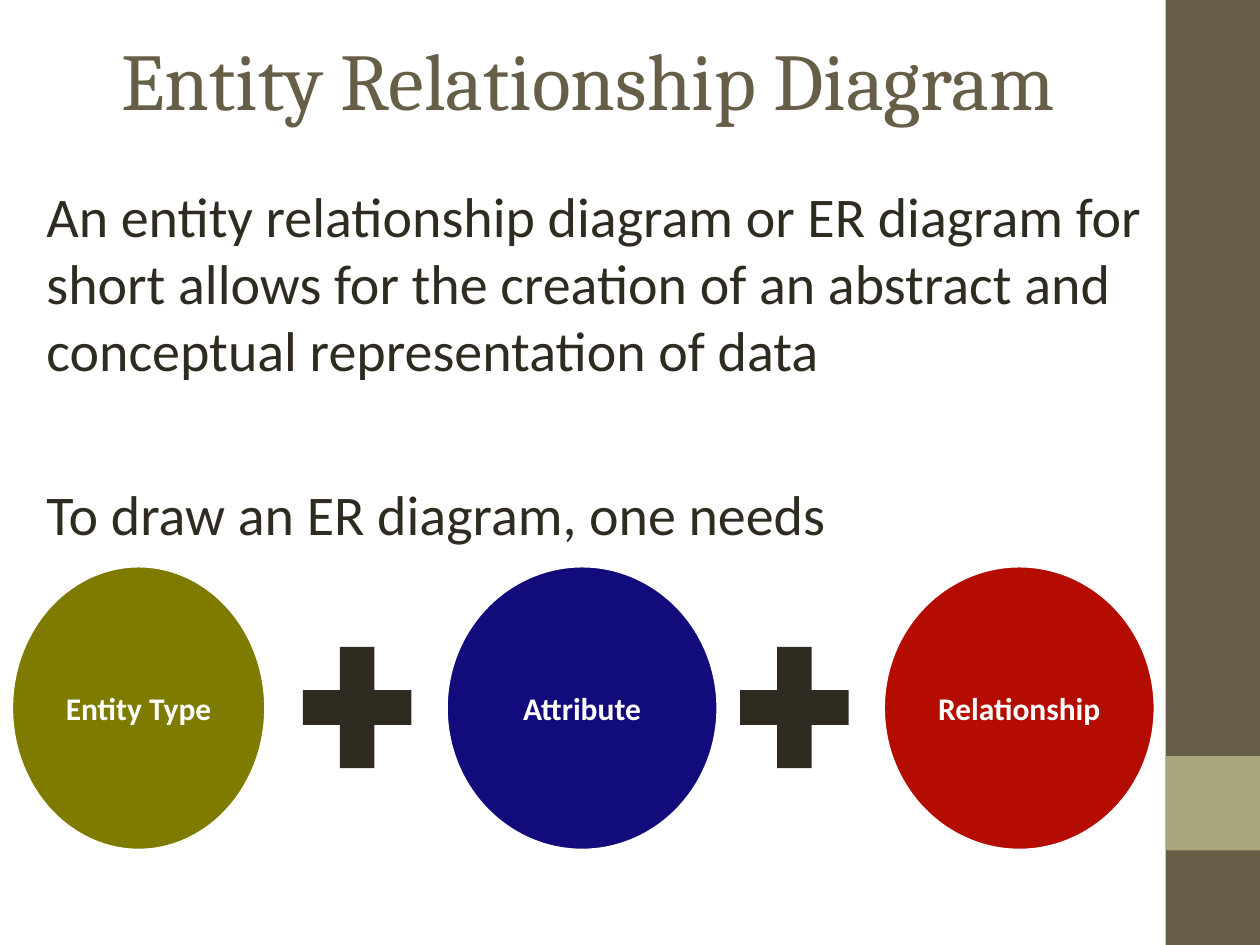
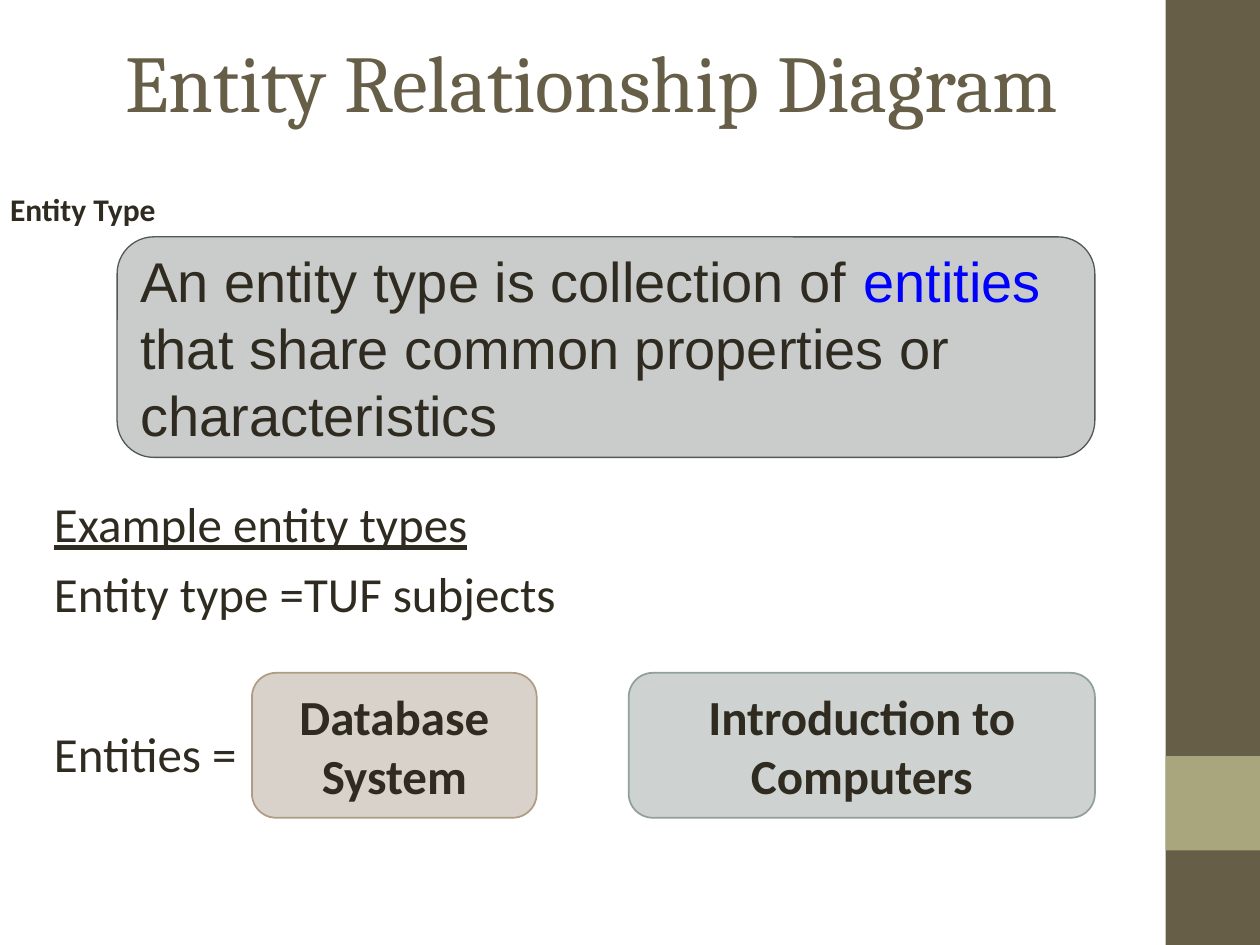
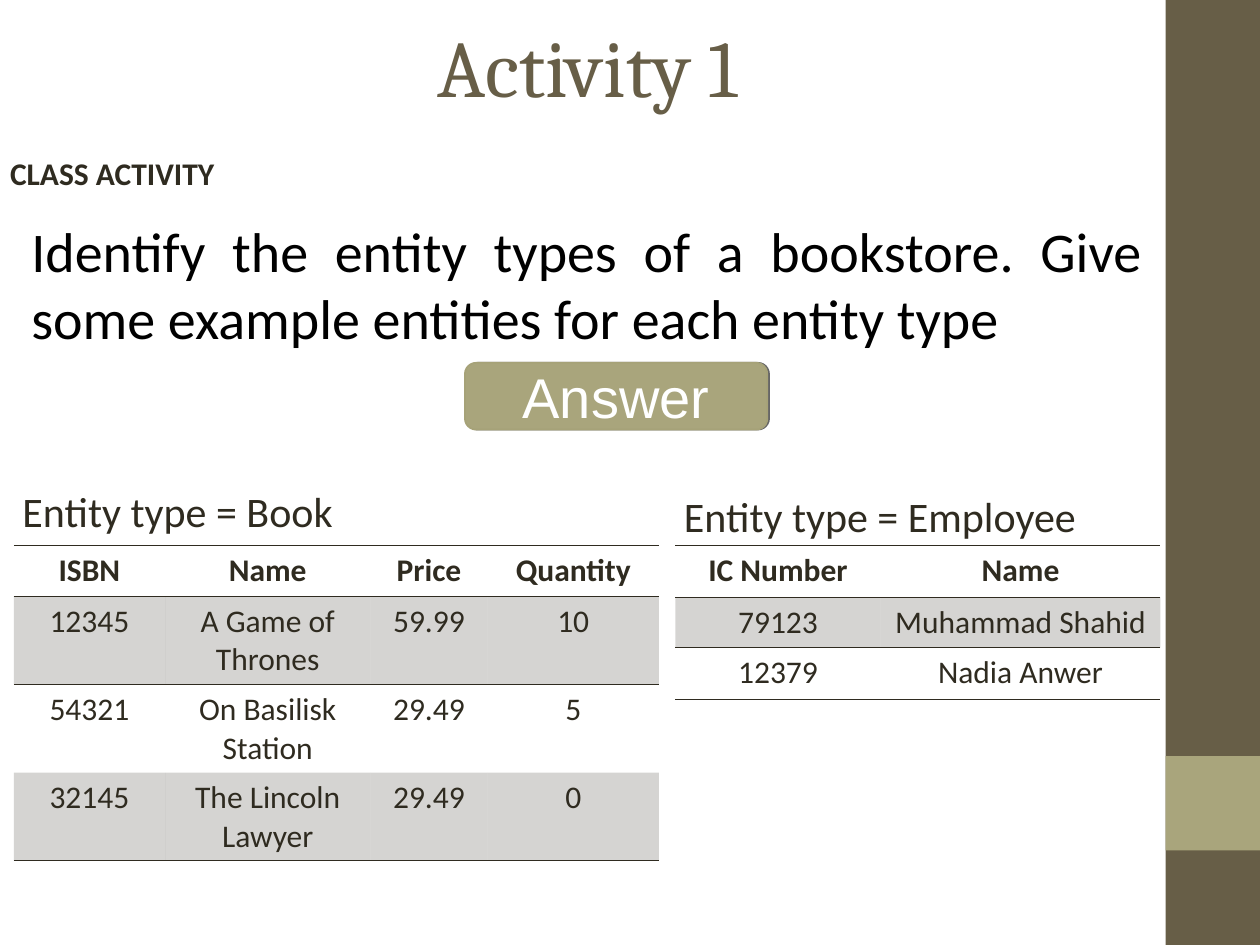
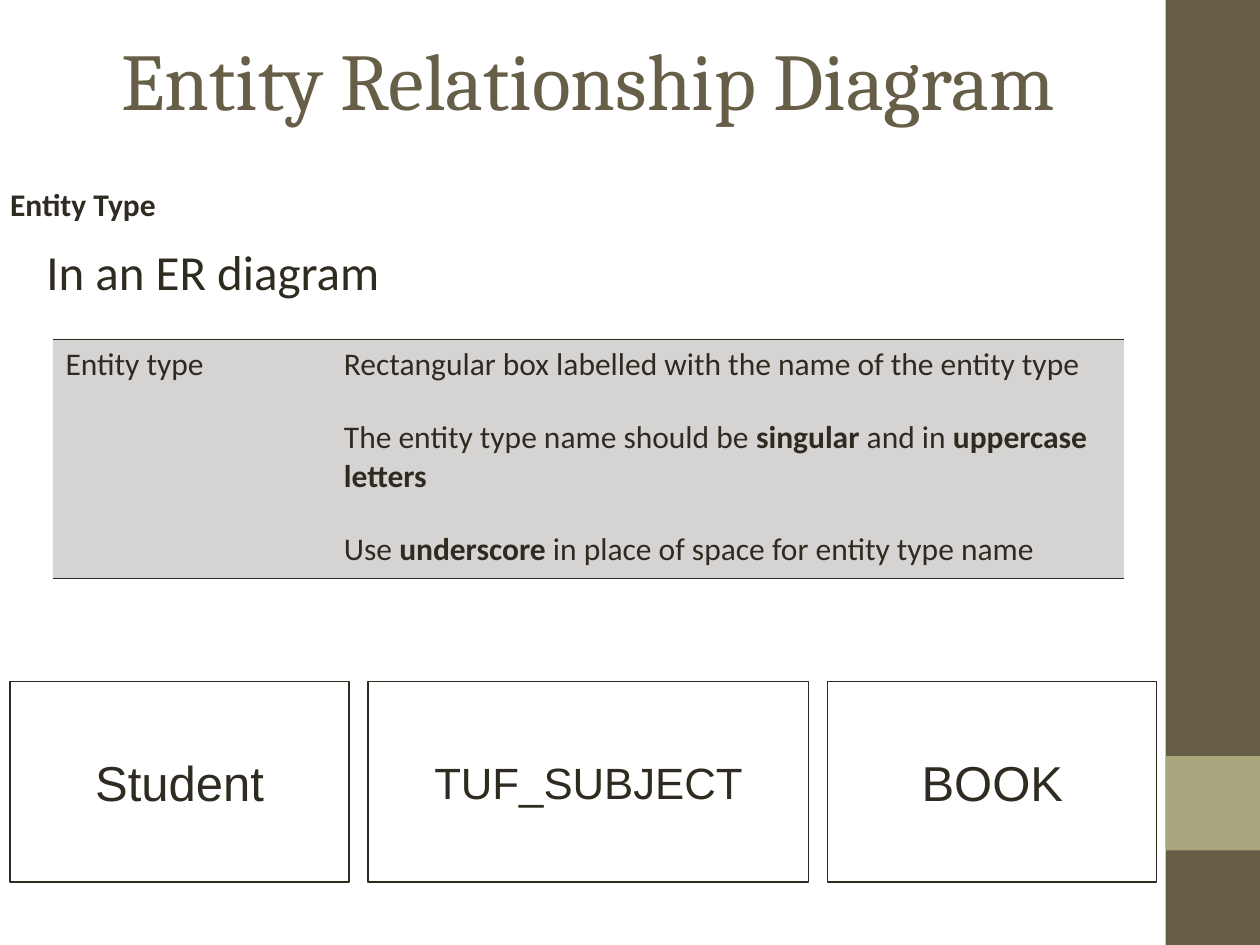
from dataclasses import dataclass

from lxml import etree
from pptx import Presentation
from pptx.dml.color import RGBColor
from pptx.enum.shapes import MSO_SHAPE
from pptx.enum.text import MSO_ANCHOR, PP_ALIGN
from pptx.oxml.ns import qn
from pptx.util import Inches, Pt


@dataclass(frozen=True)
class Theme:
    # Fonts
    title_font: str = "Cambria"
    body_font: str = "Calibri"
    box_font: str = "Arial"
    # Type sizes
    title: int = 46
    lead: int = 32
    body: int = 28
    name: int = 25
    caption: int = 24
    small: int = 18
    # Colours
    olive: str = "675E47"
    khaki: str = "A9A57C"
    khaki_edge: str = "A6A278"
    ink: str = "2F2B20"
    black: str = "000000"
    white: str = "FFFFFF"
    blue: str = "0000FF"
    slate: str = "525759"
    moss: str = "7F7B00"
    navy: str = "120B7C"
    red: str = "B50C00"
    sand: str = "D9D2CA"
    sand_edge: str = "AE9C85"
    mist: str = "CED3D1"
    mist_edge: str = "91A099"


THEME = Theme()
PLAIN_TABLE_STYLE = "{2D5ABB26-0587-4C30-8999-92F81FD0307C}"
RULE_WIDTH = Pt(0.45)


@dataclass(frozen=True)
class Run:
    text: str
    color: str = ""
    bold: bool = False
    underline: bool = False


@dataclass(frozen=True)
class Para:
    runs: tuple
    before: float = 0


def rgb(value):
    return RGBColor.from_string(value)


# ---- Text ----

def write(frame, content, size, font=THEME.body_font, color=THEME.ink,
          bold=False, align=PP_ALIGN.LEFT):
    """Fill a frame with a string or a list of Para."""
    paras = [Para((Run(content),))] if isinstance(content, str) else content
    frame.word_wrap = True
    for index, para in enumerate(paras):
        paragraph = frame.add_paragraph() if index else frame.paragraphs[0]
        paragraph.alignment = align
        if para.before:
            paragraph.space_before = Pt(para.before)
        for part in para.runs:
            run = paragraph.add_run()
            run.text = part.text
            run.font.name = font
            run.font.size = Pt(size)
            run.font.bold = bold or part.bold
            run.font.underline = part.underline
            run.font.color.rgb = rgb(part.color or color)


def add_text(slide, box, content, size, **style):
    frame = slide.shapes.add_textbox(*map(Inches, box)).text_frame
    write(frame, content, size, **style)
    return frame


def add_title(slide, text, left=0.5, top=0, height=1.25):
    frame = add_text(slide, (left, top, 8.33, height), text, THEME.title,
                     font=THEME.title_font, color=THEME.olive, align=PP_ALIGN.CENTER)
    frame.vertical_anchor = MSO_ANCHOR.MIDDLE


def add_section_label(slide, text, top, width):
    frame = add_text(slide, (0, top, width, 0.35), text, THEME.small, bold=True)
    frame.margin_left = Inches(0.08)
    frame.margin_right = frame.margin_top = frame.margin_bottom = 0
    frame.paragraphs[0].line_spacing = Pt(18)


# ---- Shapes ----

def set_fill(fill, color, opacity=100):
    fill.solid()
    fill.fore_color.rgb = rgb(color)
    if opacity < 100:
        color_xml = fill._xPr.find(qn("a:solidFill"))[0]
        etree.SubElement(color_xml, qn("a:alpha"), val=str(opacity * 1000))


def add_shape(slide, kind, box, fill=None, edge=None, edge_width=1, opacity=100):
    shape = slide.shapes.add_shape(kind, *map(Inches, box))
    shape.shadow.inherit = False
    if fill:
        set_fill(shape.fill, fill, opacity)
    else:
        shape.fill.background()
    if edge:
        shape.line.color.rgb = rgb(edge)
        shape.line.width = Pt(edge_width)
    else:
        shape.line.fill.background()
    return shape


def add_box(slide, box, content, size, kind=MSO_SHAPE.ROUNDED_RECTANGLE, fill=None,
            edge=None, edge_width=1, opacity=100, align=PP_ALIGN.CENTER, **style):
    shape = add_shape(slide, kind, box, fill, edge, edge_width, opacity)
    shape.text_frame.vertical_anchor = MSO_ANCHOR.MIDDLE
    write(shape.text_frame, content, size, align=align, **style)
    return shape


def add_side_shadow(shape):
    effects = shape._element.spPr.find(qn("a:effectLst"))
    shadow = etree.SubElement(effects, qn("a:outerShdw"), blurRad="0",
                              dist=str(Pt(1)), dir="0", algn="l", rotWithShape="0")
    color = etree.SubElement(shadow, qn("a:srgbClr"), val=THEME.black)
    etree.SubElement(color, qn("a:alpha"), val="60000")


# ---- Tables ----

def add_rules(cell, sides):
    """Draw the given borders; they must come before the fill in the cell."""
    for position, side in enumerate(sides):
        rule = etree.Element(qn("a:ln" + side), w=str(RULE_WIDTH))
        solid = etree.SubElement(rule, qn("a:solidFill"))
        etree.SubElement(solid, qn("a:srgbClr"), val=THEME.ink)
        cell._tc.get_or_add_tcPr().insert(position, rule)


def add_banded_table(slide, left, top, widths, heights, rows, header=True,
                     align=PP_ALIGN.CENTER):
    frame = slide.shapes.add_table(len(rows), len(widths), Inches(left), Inches(top),
                                   Inches(sum(widths)), Inches(sum(heights)))
    table = frame.table
    table.first_row = header
    table.horz_banding = False
    next(frame._element.iter(qn("a:tableStyleId"))).text = PLAIN_TABLE_STYLE
    for column, width in zip(table.columns, widths):
        column.width = Inches(width)
    for r, (values, height) in enumerate(zip(rows, heights)):
        table.rows[r].height = Inches(height)
        is_header = header and r == 0
        banded = not is_header and (r - header) % 2 == 0
        sides = ["T"] if r <= header else []
        if is_header or r == len(rows) - 1:
            sides.append("B")
        for c, value in enumerate(values):
            cell = table.cell(r, c)
            write(cell.text_frame, value, THEME.small, bold=is_header, align=align)
            if banded:
                set_fill(cell.fill, THEME.ink, 20)
            else:
                cell.fill.background()
            add_rules(cell, sides)


# ---- Slides ----

def new_slide(prs):
    slide = prs.slides.add_slide(prs.slide_layouts[6])
    add_shape(slide, MSO_SHAPE.RECTANGLE, (9.25, 0, 0.75, 7.5), THEME.olive)
    add_shape(slide, MSO_SHAPE.RECTANGLE, (9.25, 6, 0.75, 0.75), THEME.khaki)
    return slide


def build_overview(prs):
    slide = new_slide(prs)
    add_title(slide, "Entity Relationship Diagram")
    add_text(slide, (0.27, 1.39, 9.47, 1.18), [
        Para((Run("An entity relationship diagram or ER diagram for short allows for "
                  "the creation of an abstract and conceptual representation of data"),)),
        Para((Run("To draw an ER diagram, one needs"),), before=55),
    ], THEME.lead)

    # Ingredients joined by plus signs
    ingredients = [
        ("Entity Type", 0.09, 2.02, THEME.moss),
        ("Attribute", 3.54, 2.16, THEME.navy),
        ("Relationship", 7.01, 2.16, THEME.red),
    ]
    for index, (label, left, width, color) in enumerate(ingredients):
        if index:
            add_shape(slide, MSO_SHAPE.MATH_PLUS, (left - 1.29, 4.96, 1.17, 1.31),
                      THEME.ink)
        circle = add_box(slide, (left, 4.49, width, 2.26), label, THEME.small,
                         kind=MSO_SHAPE.OVAL, fill=color, edge=THEME.white,
                         edge_width=2, color=THEME.white, bold=True)
        circle.text_frame.margin_left = circle.text_frame.margin_right = 0


def build_entity_type(prs):
    slide = new_slide(prs)
    add_title(slide, "Entity Relationship Diagram", left=0.53, top=0.01)
    add_section_label(slide, "Entity Type", top=1.56, width=1.33)

    # Definition
    add_box(slide, (0.93, 1.88, 7.76, 1.75), [Para((
        Run("An entity type is collection of "),
        Run("entities", color=THEME.blue),
        Run(" that share common properties or characteristics"),
    ))], THEME.lead, fill=THEME.slate, opacity=30, edge=THEME.slate, edge_width=0.75,
        font=THEME.box_font, align=PP_ALIGN.LEFT)

    # Examples
    add_text(slide, (0.33, 3.87, 5.31, 1.18), [
        Para((Run("Example entity types", underline=True),)),
        Para((Run("Entity type =TUF subjects"),), before=6),
        Para((Run("Entities ="),), before=58),
    ], THEME.body)
    for subject, left, width, fill, edge in [
        ("Database System", 2, 2.26, THEME.sand, THEME.sand_edge),
        ("Introduction to Computers", 4.99, 3.7, THEME.mist, THEME.mist_edge),
    ]:
        add_box(slide, (left, 5.34, width, 1.15), subject, THEME.body,
                fill=fill, edge=edge, bold=True)


def build_activity(prs):
    slide = new_slide(prs)
    add_title(slide, "Activity 1", top=0.02, height=1)
    add_section_label(slide, "CLASS ACTIVITY", top=1.27, width=1.83)
    add_text(slide, (0.15, 1.67, 9.02, 1.18),
             "Identify the entity types of a bookstore. Give some example entities "
             "for each entity type",
             THEME.lead, color=THEME.black, align=PP_ALIGN.JUSTIFY)
    answer = add_box(slide, (3.69, 2.88, 2.4, 0.53), "Answer", THEME.lead,
                     fill=THEME.khaki, edge=THEME.khaki_edge,
                     font=THEME.box_font, color=THEME.white)
    add_side_shadow(answer)

    # Entity types with their entities
    add_text(slide, (0.08, 3.8, 3.52, 0.59), "Entity type = Book", THEME.caption)
    add_banded_table(slide, 0.11, 4.33, [1.2, 1.63, 0.93, 1.36], [0.4, 0.7, 0.7, 0.7], [
        ("ISBN", "Name", "Price", "Quantity"),
        ("12345", "A Game of Thrones", "59.99", "10"),
        ("54321", "On Basilisk Station", "29.49", "5"),
        ("32145", "The Lincoln Lawyer", "29.49", "0"),
    ])
    add_text(slide, (5.33, 3.84, 3.87, 0.59), "Entity type = Employee", THEME.caption)
    add_banded_table(slide, 5.36, 4.33, [1.63, 2.22], [0.41, 0.4, 0.41], [
        ("IC Number", "Name"),
        ("79123", "Muhammad Shahid"),
        ("12379", "Nadia Anwer"),
    ])


def build_notation(prs):
    slide = new_slide(prs)
    add_title(slide, "Entity Relationship Diagram")
    add_section_label(slide, "Entity Type", top=1.52, width=1.42)
    add_text(slide, (0.27, 1.87, 3.06, 0.63), "In an ER diagram", THEME.body)

    # Naming rules
    naming_rules = [
        Para((Run("Rectangular box labelled with the name of the entity type"),)),
        Para((Run("The entity type name should be "), Run("singular", bold=True),
              Run(" and in "), Run("uppercase letters", bold=True)), before=20),
        Para((Run("Use "), Run("underscore", bold=True),
              Run(" in place of space for entity type name")), before=20),
    ]
    add_banded_table(slide, 0.42, 2.69, [2.21, 6.29], [1.9],
                     [("Entity type", naming_rules)], header=False,
                     align=PP_ALIGN.LEFT)

    # Example entity boxes in a row
    left, gap = 0.08, 0.15
    for entity, width, size in [
        ("Student", 2.69, THEME.body),
        ("TUF_SUBJECT", 3.5, THEME.name),
        ("BOOK", 2.61, THEME.body),
    ]:
        add_box(slide, (left, 5.41, width, 1.59), entity, size,
                kind=MSO_SHAPE.RECTANGLE, edge=THEME.ink, edge_width=0.75,
                font=THEME.box_font)
        left += width + gap


def main():
    prs = Presentation()
    prs.slide_width = Inches(10)
    prs.slide_height = Inches(7.5)
    build_overview(prs)
    build_entity_type(prs)
    build_activity(prs)
    build_notation(prs)
    prs.save("out.pptx")


if __name__ == "__main__":
    main()
